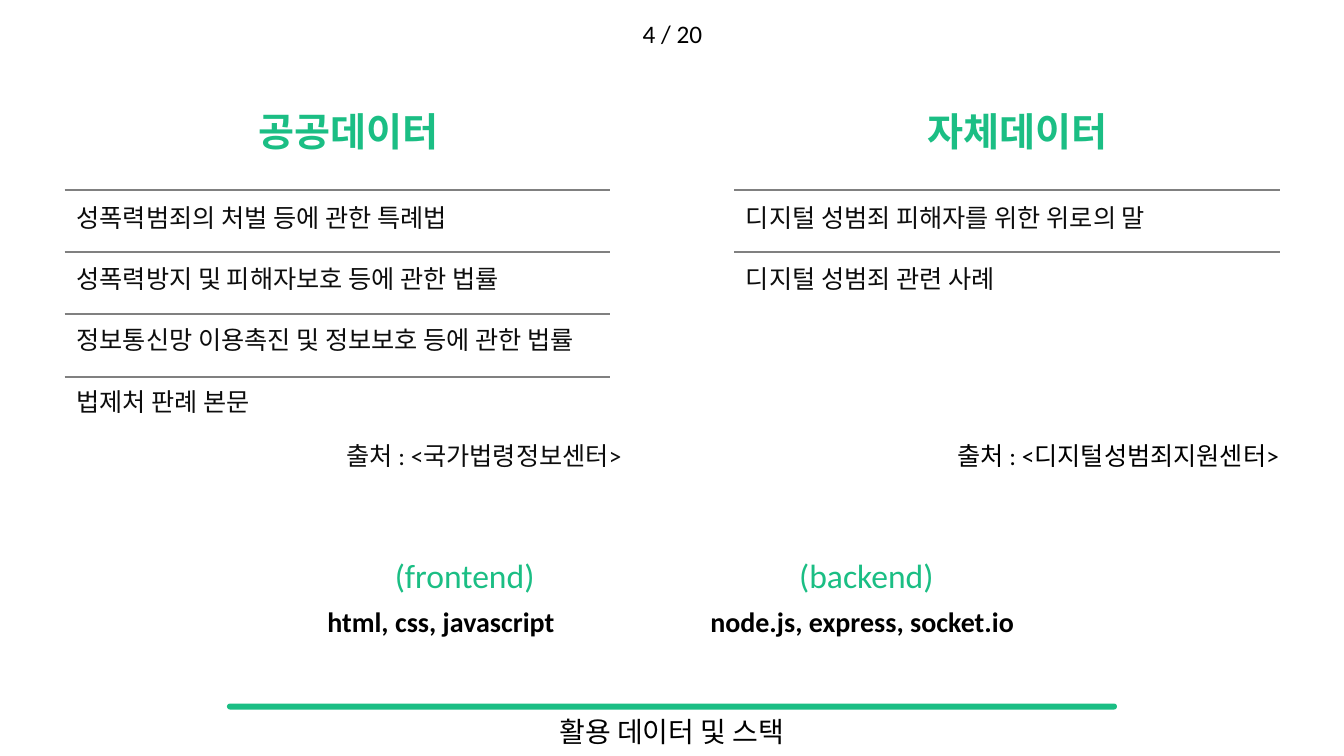
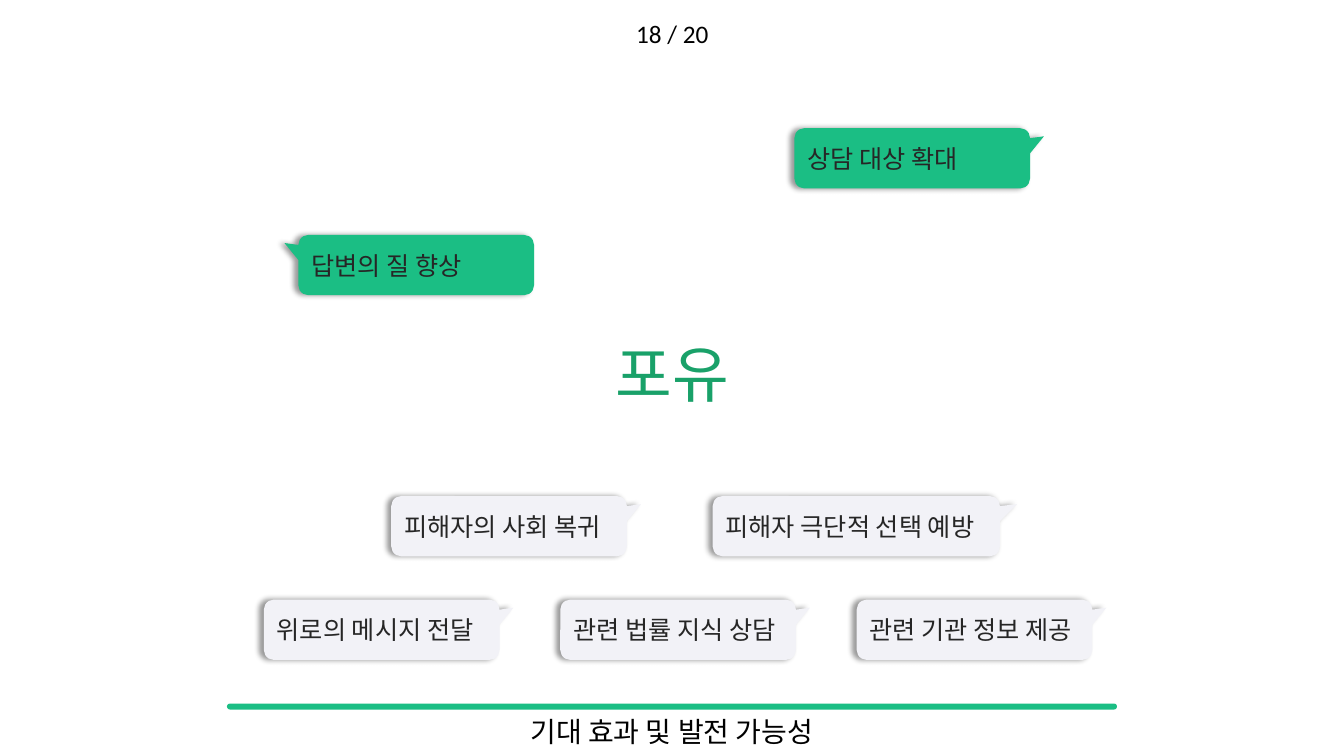
"""Builds the data and stack slide and the expected effects slide."""
from dataclasses import dataclass

from lxml.etree import SubElement
from pptx import Presentation
from pptx.dml.color import RGBColor
from pptx.enum.shapes import MSO_CONNECTOR as Connector, MSO_SHAPE as Preset
from pptx.enum.text import MSO_ANCHOR as Anchor, PP_ALIGN as Align
from pptx.oxml.ns import qn
from pptx.util import Cm, Pt

FONT = "Calibri"
GREEN, DEEP_GREEN, PALE = "1BBE84", "19A169", "F2F2F7"
BLACK, INK, BUBBLE_INK, RULE_GRAY = "000000", "0D0D0D", "262626", "808080"
PAGE_COUNT = 20
SLIDE_WIDTH, SLIDE_HEIGHT = 33.87, 19.05
RULE_TOP, RULE_STEP, RULE_WIDTH = 4.78, 1.57, 13.75
ROW_TOP, ROW_STEP = 4.98, 1.54
BUBBLE_WIDTH, BUBBLE_HEIGHT = 5.94, 1.52
LOWER_LEFT, LOWER_STEP, LOWER_TOP = 6.65, 7.47, 15.11
UPPER_TOP = 12.5


@dataclass(frozen=True)
class Style:
    size: float
    color: str
    bold: bool = False
    align: Align = Align.LEFT
    anchor: Anchor = Anchor.TOP
    line_spacing: float = 1.0


@dataclass(frozen=True)
class Box:
    left: float
    top: float
    width: float
    height: float

    def lengths(self) -> tuple:
        return tuple(Cm(n) for n in (self.left, self.top, self.width, self.height))


@dataclass(frozen=True)
class DataColumn:
    left: float
    heading: str
    rows: tuple
    source: str
    source_box: Box
    source_color: str


@dataclass(frozen=True)
class Stack:
    label: str
    label_box: Box
    tools: str
    tools_box: Box


@dataclass(frozen=True)
class Bubble:
    text: str
    left: float
    top: float
    width: float = BUBBLE_WIDTH
    fill: str = PALE
    tail_side: int = 1


PAGE = Style(18, BLACK, align=Align.CENTER)
TITLE = Style(20, BLACK, align=Align.CENTER, anchor=Anchor.MIDDLE, line_spacing=0.9)
HEADING = Style(28, GREEN, bold=True, align=Align.CENTER)
ROW = Style(18, INK)
STACK_LABEL = Style(24, GREEN)
STACK_TOOLS = Style(20, BLACK, bold=True)
SERVICE = Style(44, DEEP_GREEN, align=Align.CENTER, anchor=Anchor.MIDDLE, line_spacing=0.9)
BUBBLE = Style(18, BUBBLE_INK, anchor=Anchor.MIDDLE)

COLUMNS = (
    DataColumn(
        1.63, "공공데이터",
        ("성폭력범죄의 처벌 등에 관한 특례법", "성폭력방지 및 피해자보호 등에 관한 법률",
         "정보통신망 이용촉진 및 정보보호 등에 관한 법률", "법제처 판례 본문"),
        "출처 : <국가법령정보센터>", Box(8.48, 10.97, 7.98, 1.02), INK),
    DataColumn(
        18.5, "자체데이터",
        ("디지털 성범죄 피해자를 위한 위로의 말", "디지털 성범죄 관련 사례"),
        "출처 : <디지털성범죄지원센터>", Box(23.88, 10.97, 8.89, 1.02), BLACK),
)

STACKS = (
    Stack("(frontend)", Box(9.7, 13.87, 6.27, 1.27),
          "html, css, javascript", Box(8, 15.11, 7.54, 1.12)),
    Stack("(backend)", Box(19.89, 13.87, 5.33, 1.27),
          "node.js, express, socket.io", Box(17.65, 15.11, 9.6, 1.12)),
)

EFFECTS = ("위로의 메시지 전달", "관련 법률 지식 상담", "관련 기관 정보 제공")
BUBBLES = (
    Bubble("피해자 극단적 선택 예방", 17.96, UPPER_TOP, width=7.24),
    Bubble("피해자의 사회 복귀", 9.86, UPPER_TOP),
    *(Bubble(effect, LOWER_LEFT + i * LOWER_STEP, LOWER_TOP)
      for i, effect in enumerate(EFFECTS)),
    Bubble("상담 대상 확대", 20.02, 3.23, fill=GREEN),
    Bubble("답변의 질 향상", 7.52, 5.92, fill=GREEN, tail_side=-1),
)


def rgb(color: str) -> RGBColor:
    """Turn a hex string into a colour."""
    return RGBColor.from_string(color)


def write(shape, text: str, style: Style) -> None:
    """Put one styled paragraph into a shape."""
    frame = shape.text_frame
    frame.word_wrap = True
    frame.vertical_anchor = style.anchor
    paragraph = frame.paragraphs[0]
    paragraph.alignment = style.align
    paragraph.line_spacing = style.line_spacing
    run = paragraph.add_run()
    run.text = text
    formats = {"name": FONT, "size": Pt(style.size), "bold": style.bold}
    for attribute, value in formats.items():
        setattr(run.font, attribute, value)
    run.font.color.rgb = rgb(style.color)


def add_text(slide, box: Box, text: str, style: Style) -> None:
    """Add a text box."""
    write(slide.shapes.add_textbox(*box.lengths()), text, style)


def add_filled(slide, preset: Preset, box: Box, fill: str, adjustments: tuple):
    """Add a preset shape with a plain fill, no line and no shadow."""
    shape = slide.shapes.add_shape(preset, *box.lengths())
    shape.shadow.inherit = False
    shape.fill.solid()
    shape.fill.fore_color.rgb = rgb(fill)
    shape.line.fill.background()
    for i, value in enumerate(adjustments):
        shape.adjustments[i] = value
    return shape


def add_rule(slide, left: float, top: float) -> None:
    """Add a thin horizontal rule above a row."""
    rule = slide.shapes.add_connector(
        Connector.STRAIGHT, Cm(left), Cm(top), Cm(left + RULE_WIDTH), Cm(top))
    rule.line.color.rgb = rgb(RULE_GRAY)
    rule.line.width = Pt(1.5)
    SubElement(rule._element.spPr, qn("a:effectLst"))


def add_column(slide, column: DataColumn) -> None:
    """Add a headed list of data sets with its source."""
    add_text(slide, Box(column.left + 1.8, 2.59, 10.69, 1.45), column.heading, HEADING)
    for i, row in enumerate(column.rows):
        add_rule(slide, column.left, RULE_TOP + i * RULE_STEP)
        add_text(slide, Box(column.left + 0.05, ROW_TOP + i * ROW_STEP, 14.22, 1.02), row, ROW)
    add_text(slide, column.source_box, column.source, Style(18, column.source_color))


def add_bubble(slide, bubble: Bubble) -> None:
    """Add a speech bubble with a soft shadow to its left."""
    box = Box(bubble.left, bubble.top, bubble.width, BUBBLE_HEIGHT)
    shape = add_filled(slide, Preset.ROUNDED_RECTANGULAR_CALLOUT, box, bubble.fill,
                       (0.559 * bubble.tail_side, -0.365, 0.167))
    effects = shape._element.spPr.find(qn("a:effectLst"))
    shadow = SubElement(effects, qn("a:outerShdw"), blurRad=str(Pt(4)), dist=str(Pt(3)),
                        dir=str(180 * 60000), algn="r", rotWithShape="0")
    tint = SubElement(shadow, qn("a:srgbClr"), val=BLACK)
    SubElement(tint, qn("a:alpha"), val="40000")
    write(shape, bubble.text, BUBBLE)


def add_page(deck, number: int, title: str):
    """Add a slide with the page number, the green bar and the title."""
    slide = deck.slides.add_slide(deck.slide_layouts[6])
    add_filled(slide, Preset.ROUNDED_RECTANGLE, Box(5.72, 17.73, 22.43, 0.15), GREEN, (0.5,))
    add_text(slide, Box(5.72, 17.95, 22.43, 1.05), title, TITLE)
    add_text(slide, Box(14.94, 0.33, 4.01, 1.02), f"{number} / {PAGE_COUNT}", PAGE)
    return slide


def main() -> None:
    """Build and save the deck."""
    deck = Presentation()
    deck.slide_width, deck.slide_height = Cm(SLIDE_WIDTH), Cm(SLIDE_HEIGHT)

    data_slide = add_page(deck, 4, "활용 데이터 및 스택")
    for column in COLUMNS:
        add_column(data_slide, column)
    for stack in STACKS:
        add_text(data_slide, stack.label_box, stack.label, STACK_LABEL)
        add_text(data_slide, stack.tools_box, stack.tools, STACK_TOOLS)

    effects_slide = add_page(deck, 18, "기대 효과 및 발전 가능성")
    add_text(effects_slide, Box(14.33, 8.1, 5.23, 2.84), "포유", SERVICE)
    for bubble in BUBBLES:
        add_bubble(effects_slide, bubble)

    deck.save("out.pptx")


if __name__ == "__main__":
    main()
